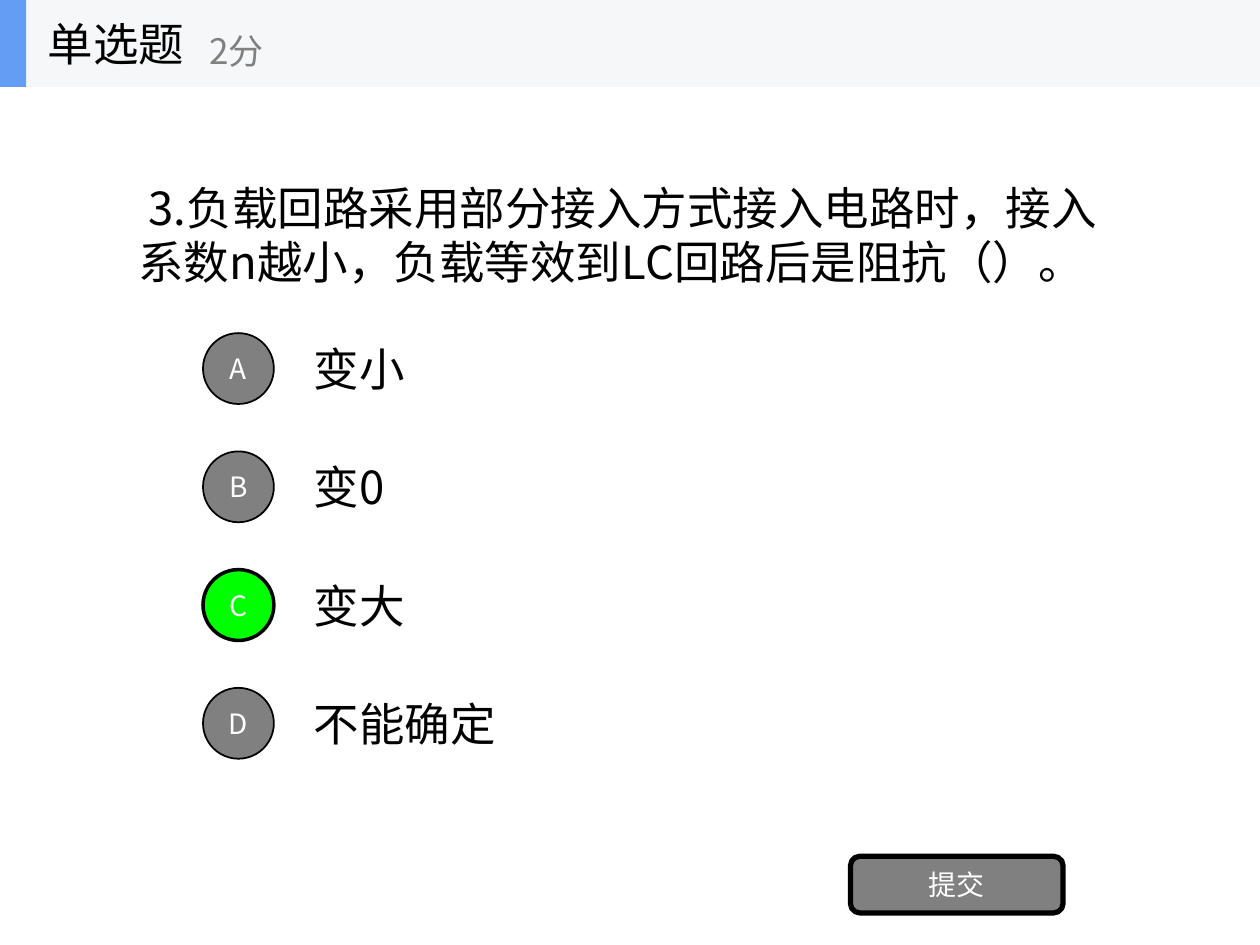
from lxml import etree
from pptx import Presentation
from pptx.dml.color import RGBColor
from pptx.enum.shapes import MSO_SHAPE
from pptx.enum.text import MSO_ANCHOR, PP_ALIGN
from pptx.oxml.ns import qn
from pptx.util import Pt

RECT, OVAL, ROUNDED = MSO_SHAPE.RECTANGLE, MSO_SHAPE.OVAL, MSO_SHAPE.ROUNDED_RECTANGLE
MIDDLE = MSO_ANCHOR.MIDDLE
LEFT, CENTER = PP_ALIGN.LEFT, PP_ALIGN.CENTER

BLACK = RGBColor(0x00, 0x00, 0x00)
WHITE = RGBColor(0xFF, 0xFF, 0xFF)
GRAY = RGBColor(0x80, 0x80, 0x80)
GREEN = RGBColor(0x00, 0xFF, 0x00)
BAND = RGBColor(0xF6, 0xF7, 0xF8)
BLUE = RGBColor(0x63, 0x9E, 0xF4)

FONT = "Noto Sans CJK SC"
OPTIONS = [("A", "变小"), ("B", "变0"), ("C", "变大"), ("D", "不能确定")]
ANSWER = "C"


def write(frame, text, size, color, align=LEFT):
    """Fill a text frame with one vertically centred paragraph."""
    frame.word_wrap = True
    frame.vertical_anchor = MIDDLE
    paragraph = frame.paragraphs[0]
    paragraph.text = text
    paragraph.alignment = align
    font = paragraph.font
    font.size = Pt(size)
    font.color.rgb = color
    font.name = FONT
    # The East Asian typeface follows the Latin one
    properties = paragraph._p.pPr
    etree.SubElement(properties.find(qn("a:defRPr")), qn("a:ea"), typeface=FONT)
    # Closing punctuation stays inside the margin
    properties.set("hangingPunct", "0")


def add_label(slide, box, text, size, color=BLACK):
    label = slide.shapes.add_textbox(*map(Pt, box))
    write(label.text_frame, text, size, color)


def add_panel(slide, kind, box, fill, line_width=0):
    panel = slide.shapes.add_shape(kind, *map(Pt, box))
    panel.shadow.inherit = False
    panel.fill.solid()
    panel.fill.fore_color.rgb = fill
    if line_width:
        panel.line.color.rgb = BLACK
        panel.line.width = Pt(line_width)
    else:
        panel.line.fill.background()
    return panel


def add_button(slide, kind, box, text, fill, line_width):
    button = add_panel(slide, kind, box, fill, line_width)
    frame = button.text_frame
    frame.margin_left = frame.margin_right = Pt(0)
    frame.margin_top = frame.margin_bottom = Pt(0)
    write(frame, text, 16, WHITE, CENTER)


def add_header(slide, left, top, width, height):
    add_panel(slide, RECT, (left, top, width, height), BAND)
    add_panel(slide, RECT, (left, top, 15, height), BLUE)
    add_label(slide, (left + 20.2, top, 150, height), "单选题", 26)
    add_label(slide, (left + 112.6, top + 8.8, 180, 40), "2分", 20, GRAY)


def add_question(slide, *box):
    add_label(
        slide, box,
        " 3.负载回路采用部分接入方式接入电路时，接入系数n越小，负载等效到LC回路后是阻抗（）。", 26)


def add_options(slide, left, top, width, height):
    row_height, circle = 50, 40.5
    pitch = (height - row_height) / (len(OPTIONS) - 1)
    for index, (letter, answer) in enumerate(OPTIONS):
        row_top = top + index * pitch
        circle_top = row_top + (row_height - circle) / 2
        correct = letter == ANSWER
        add_label(slide, (left + 56.2, row_top, width - 56.2, row_height), answer, 26)
        add_button(slide, OVAL, (left, circle_top, circle, circle), letter,
                   GREEN if correct else GRAY, 2 if correct else 1)


def main():
    deck = Presentation()
    deck.slide_width, deck.slide_height = Pt(720), Pt(540)
    slide = deck.slides.add_slide(deck.slide_layouts[6])

    # Question, options and submit button
    add_question(slide, 72, 49.5, 576, 168.75)
    add_options(slide, 116, 185.6, 560, 252.7)
    add_button(slide, ROUNDED, (486, 489.3, 121.5, 32.4), "提交", GRAY, 3)

    # Header band
    add_header(slide, 0, 0, 720, 49.7)
    deck.save("out.pptx")


if __name__ == "__main__":
    main()
